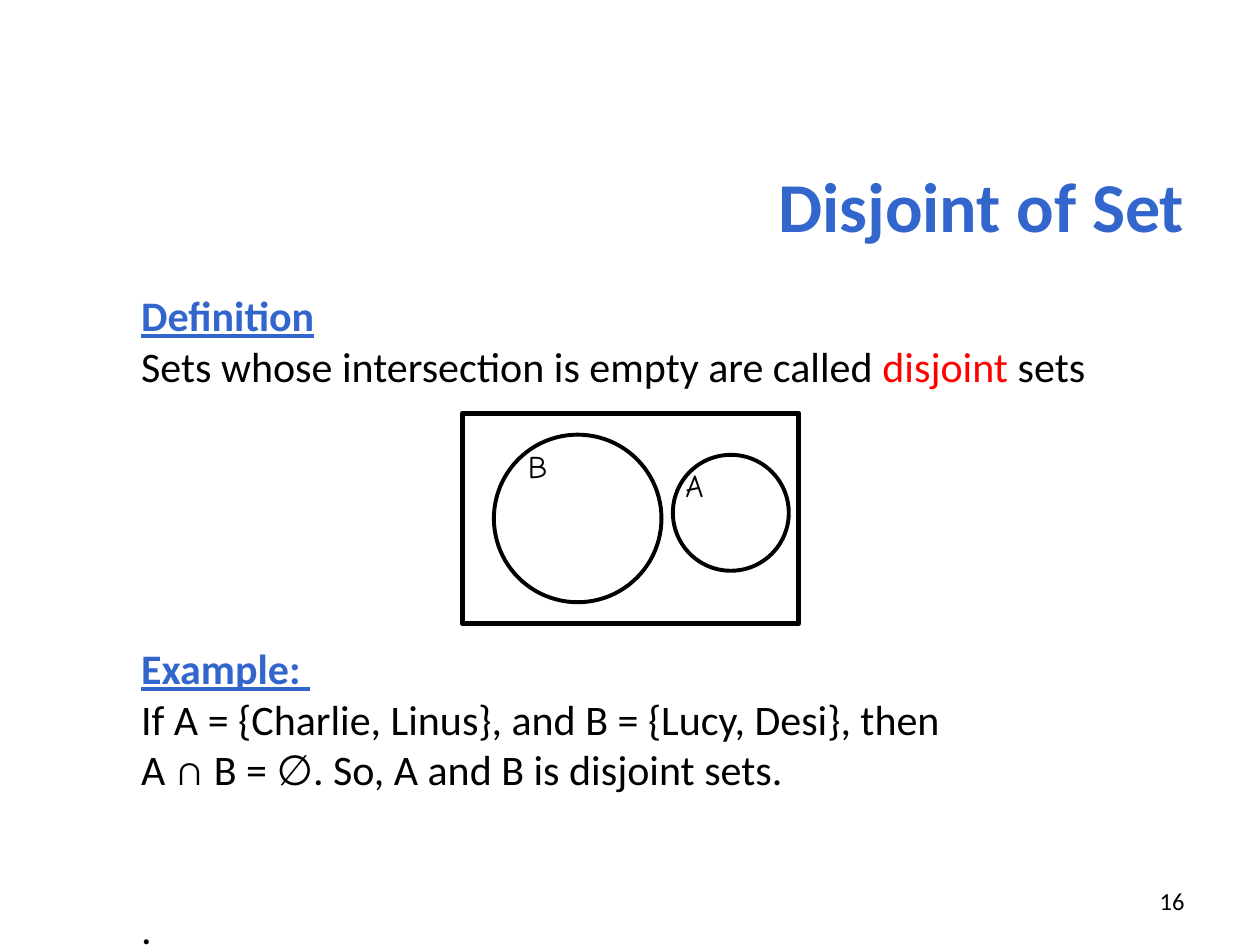
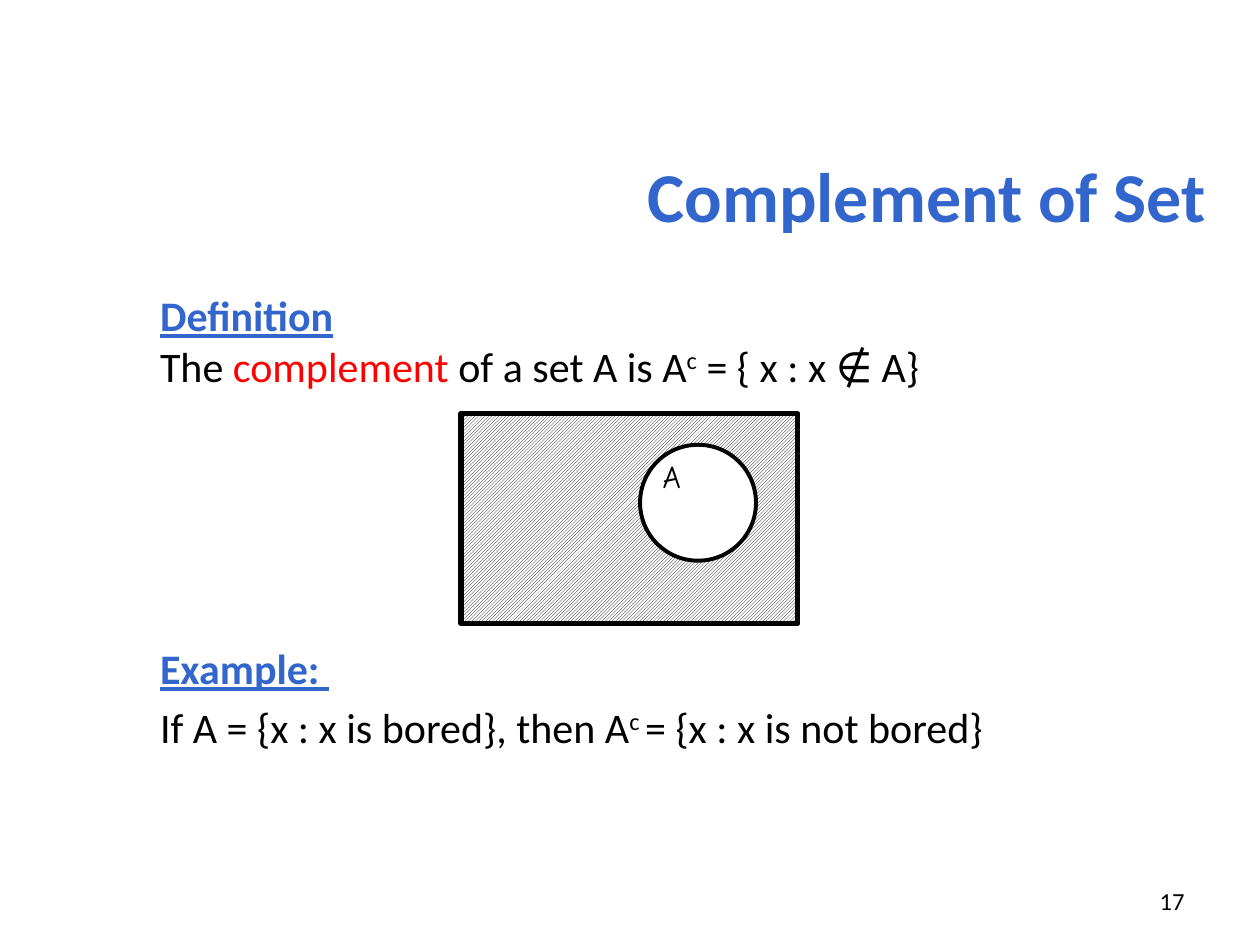
from pptx import Presentation
from pptx.dml.color import RGBColor
from pptx.enum.dml import MSO_PATTERN
from pptx.enum.shapes import MSO_SHAPE as Shape
from pptx.enum.text import MSO_ANCHOR as Anchor, MSO_AUTO_SIZE as AutoSize, PP_ALIGN as Align
from pptx.oxml.xmlchemy import OxmlElement
from pptx.util import Inches, Pt

# Shared style
BLUE, RED, BLACK, WHITE = "3366CC", "FF0000", "000000", "FFFFFF"
FONT, LABEL_FONT = "Calibri", "Comic Neue"
HANGING = Inches(0.38)
DIAGRAM_GAP = 144   # points left free for the Venn diagram
FOOTER_AT = (7.17, 6.95, 2.33, 0.4)

# Run styles
HEAD = {"color": BLUE, "bold": True, "underline": True}
PLAIN = {}
KEY = {"color": RED}
SUPER = {"raised": True}

# Content: body lines are (space before in points, runs);
# circles are (left, top, diameter), labels are (letter, left, top)
SLIDES = [
    {
        "number": "16",
        "title": "Disjoint of Set",
        "title_at": (0.5, 1, 9, 1.25),
        "body_at": (1.02, 2.25, 8.9, 4.67),
        "body": [
            (0, [("Definition", HEAD)]),
            (0, [("Sets whose intersection is empty are called ", PLAIN),
                 ("disjoint", KEY), (" sets", PLAIN)]),
            (DIAGRAM_GAP, [("Example: ", HEAD)]),
            (0, [("If A = {Charlie, Linus}, and B = {Lucy, Desi}, then", PLAIN)]),
            (0, [("A ∩ B = ∅. So, A and B is disjoint sets.", PLAIN)]),
            (62, [(".", PLAIN)]),
        ],
        "universe_left": 3.67,
        "hatched": False,
        "circles": [(3.92, 3.45, 1.33), (5.34, 3.61, 0.92)],
        "labels": [("A", 5.34, 3.68), ("B", 4.09, 3.53)],
    },
    {
        "number": "17",
        "title": "Complement of Set",
        "title_at": (0.67, 0.92, 9, 1.25),
        "body_at": (1.17, 2.25, 8.5, 4.67),
        "body": [
            (0, [("Definition", HEAD)]),
            (0, [("The ", PLAIN), ("complement", KEY), (" of a set A is A", PLAIN),
                 ("c", SUPER), (" = { x : x ∉ A}", PLAIN)]),
            (DIAGRAM_GAP, [("Example: ", HEAD)]),
            (4.8, [("If A = {x : x is bored}, then A", PLAIN), ("c ", SUPER),
                   ("= {x : x is not bored}", PLAIN)]),
        ],
        "universe_left": 3.66,
        "hatched": True,
        "circles": [(5.08, 3.53, 0.92)],
        "labels": [("A", 5.16, 3.61)],
    },
]


def rgb(value):
    return RGBColor.from_string(value)


def inches(box):
    return [Inches(length) for length in box]


def add_run(paragraph, text, size, color=BLACK, font=FONT, bold=False,
            underline=False, raised=False):
    run = paragraph.add_run()
    run.text = text
    run.font.name, run.font.size = font, Pt(size)
    run.font.bold, run.font.underline = bold, underline
    run.font.color.rgb = rgb(color)
    if raised:
        run._r.get_or_add_rPr().set("baseline", "30000")


def prepare(shape, box, anchor):
    shape.left, shape.top, shape.width, shape.height = inches(box)
    frame = shape.text_frame
    frame.word_wrap = True
    frame.auto_size = AutoSize.NONE
    frame.vertical_anchor = anchor
    return frame


def fill_title(title, content):
    paragraph = prepare(title, content["title_at"], Anchor.MIDDLE).paragraphs[0]
    paragraph.alignment = Align.RIGHT
    add_run(paragraph, content["title"], 40, BLUE, bold=True)


def fill_body(body, content):
    frame = prepare(body, content["body_at"], Anchor.TOP)
    for index, (space, runs) in enumerate(content["body"]):
        paragraph = frame.add_paragraph() if index else frame.paragraphs[0]
        props = paragraph._p.get_or_add_pPr()
        props.set("marL", str(HANGING))
        props.set("indent", str(-HANGING))
        props.append(OxmlElement("a:buNone"))
        paragraph.space_before = Pt(space)
        for text, style in runs:
            add_run(paragraph, text, 24, **style)


def add_outline(group, kind, box, weight):
    outline = group.shapes.add_shape(kind, *inches(box))
    outline.shadow.inherit = False
    outline.fill.background()
    outline.line.color.rgb = rgb(BLACK)
    outline.line.width = Pt(weight)
    return outline


def add_venn(slide, content):
    venn = slide.shapes.add_group_shape()
    universe = add_outline(venn, Shape.RECTANGLE,
                           (content["universe_left"], 3.28, 2.67, 1.67), 3)
    if content["hatched"]:
        universe.fill.patterned()
        universe.fill.pattern = MSO_PATTERN.LIGHT_UPWARD_DIAGONAL
        universe.fill.fore_color.rgb = rgb(BLACK)
        universe.fill.back_color.rgb = rgb(WHITE)
    for left, top, diameter in content["circles"]:
        circle = add_outline(venn, Shape.OVAL, (left, top, diameter, diameter), 2.25)
        if content["hatched"]:
            circle.fill.solid()
            circle.fill.fore_color.rgb = rgb(WHITE)
    for letter, left, top in content["labels"]:
        box = (left, top, 0.45, 0.5)
        label = venn.shapes.add_textbox(*inches(box))
        paragraph = prepare(label, box, Anchor.TOP).paragraphs[0]
        paragraph.line_spacing = 0.9
        add_run(paragraph, letter, 18, font=LABEL_FONT)


def add_footer(slide, number):
    footer = slide.shapes.add_textbox(*inches(FOOTER_AT))
    paragraph = prepare(footer, FOOTER_AT, Anchor.MIDDLE).paragraphs[0]
    paragraph.alignment = Align.RIGHT
    add_run(paragraph, number, 14)


def main():
    deck = Presentation()
    deck.slide_width, deck.slide_height = Inches(10), Inches(7.5)
    for content in SLIDES:
        slide = deck.slides.add_slide(deck.slide_layouts[1])
        fill_title(slide.shapes.title, content)
        fill_body(slide.placeholders[1], content)
        add_venn(slide, content)
        add_footer(slide, content["number"])
    deck.save("out.pptx")


if __name__ == "__main__":
    main()
